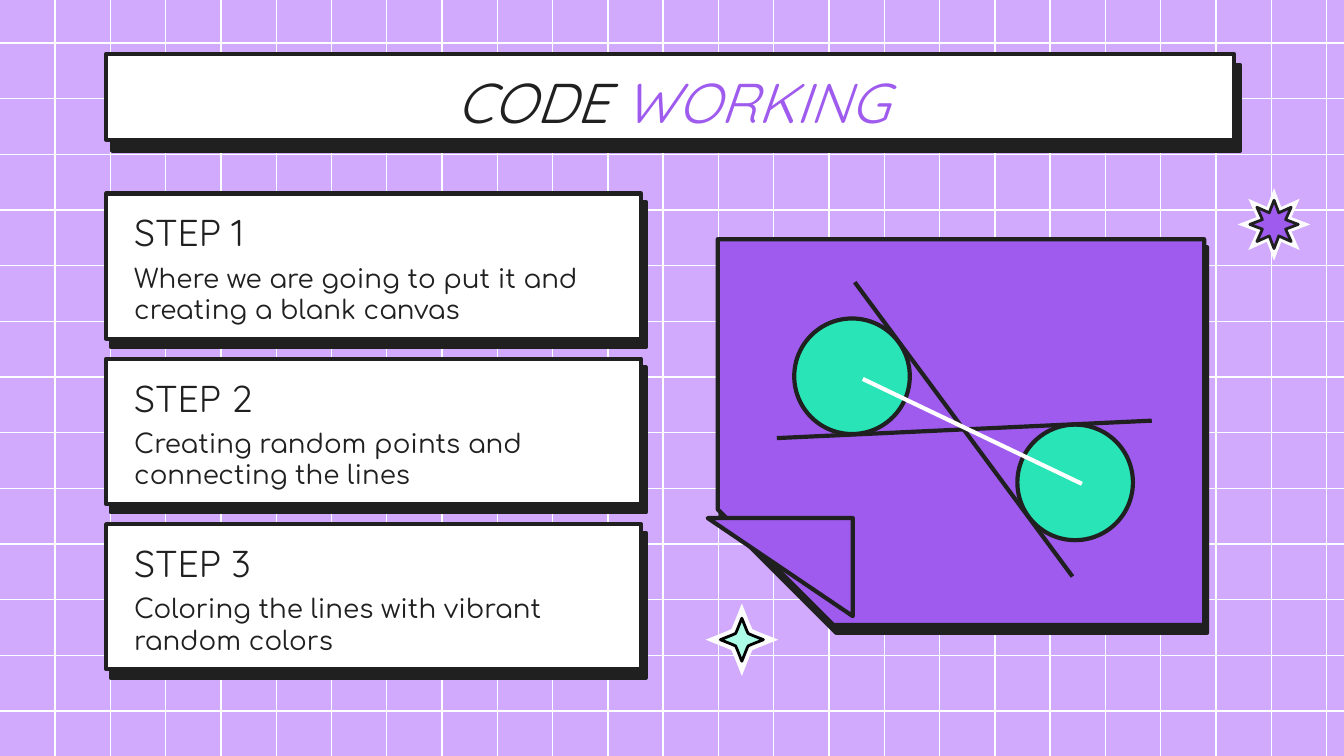
from math import cos, radians, sin

from lxml import etree
from pptx import Presentation
from pptx.dml.color import RGBColor
from pptx.enum.shapes import MSO_CONNECTOR, MSO_SHAPE as Preset
from pptx.enum.text import MSO_ANCHOR, PP_ALIGN
from pptx.oxml import parse_xml
from pptx.oxml.ns import nsdecls, qn
from pptx.util import Inches, Pt

LILAC = RGBColor(0xD1, 0xAA, 0xFD)
PURPLE = RGBColor(0x9E, 0x5B, 0xEE)
GREEN = RGBColor(0x28, 0xE4, 0xB7)
MINT = RGBColor(0xAD, 0xFE, 0xE7)
INK = RGBColor(0x20, 0x20, 0x20)
BLACK = RGBColor(0, 0, 0)
WHITE = RGBColor(0xFF, 0xFF, 0xFF)
OFF_WHITE = RGBColor(0xFC, 0xFC, 0xFC)

PAGE_WIDTH = 10
PAGE_HEIGHT = PAGE_WIDTH * 9 / 16
STEPS = [
    ("STEP 1", "Where we are going to put it and creating a blank canvas"),
    ("STEP 2", "Creating random points and connecting the lines"),
    ("STEP 3", "Coloring the lines with vibrant random colors"),
]
STEP_TOP, STEP_PITCH = 1.44, 1.23

deck = Presentation()
deck.slide_width, deck.slide_height = Inches(PAGE_WIDTH), Inches(PAGE_HEIGHT)
page = deck.slides.add_slide(deck.slide_layouts[6])
page.background.fill.solid()
page.background.fill.fore_color.rgb = LILAC


def draw_line(x1, y1, x2, y2, color, width):
    line = page.shapes.add_connector(
        MSO_CONNECTOR.STRAIGHT, Inches(x1), Inches(y1), Inches(x2), Inches(y2))
    line.line.color.rgb = color
    line.line.width = Pt(width)
    etree.SubElement(line._element.spPr, qn("a:effectLst"))


def add_text(left, top, width, height, spans, size, font):
    """Add one paragraph made of (text, color) spans and return it."""
    box = page.shapes.add_textbox(
        Inches(left), Inches(top), Inches(width), Inches(height))
    frame = box.text_frame
    frame.word_wrap = True
    frame.vertical_anchor = MSO_ANCHOR.TOP
    frame.margin_left = frame.margin_right = Inches(0.1)
    frame.margin_top = frame.margin_bottom = Inches(0.1)
    para = frame.paragraphs[0]
    para.font.size = Pt(size)
    para.font.name = font
    for text, color in spans:
        span = para.add_run()
        span.text = text
        span.font.color.rgb = color
    return para


# Background grid
for row in range(13):
    y = 0.32 + row * (5.29 - 0.32) / 12
    draw_line(0, y, PAGE_WIDTH, y, WHITE, 0.75)
for column in range(24):
    x = 0.41 + column * (9.87 - 0.41) / 23
    draw_line(x, 0, x, PAGE_HEIGHT, WHITE, 0.75)

# Cards, folded sheet and circles: preset, box, fill, rotation, shadow (pt, degrees)
shapes = [(Preset.RECTANGLE, (0.79, STEP_TOP + i * STEP_PITCH, 3.98, 1.08),
           WHITE, 0, (5.2, 61)) for i in range(len(STEPS))]
shapes += [
    (Preset.RECTANGLE, (0.79, 0.4, 8.39, 0.64), WHITE, 0, (6.8, 60)),
    (Preset.SNIP_1_RECTANGLE, (5.34, 1.78, 3.62, 2.87), PURPLE, 180, (4.5, 70)),
    (Preset.RIGHT_TRIANGLE, (5.44, 3.68, 0.73, 1.08), PURPLE, 270, None),
    (Preset.OVAL, (5.91, 2.37, 0.86, 0.86), GREEN, 0, None),
    (Preset.OVAL, (7.57, 3.16, 0.86, 0.86), GREEN, 0, None),
]
for preset, bounds, fill, rotation, shadow in shapes:
    shape = page.shapes.add_shape(preset, *map(Inches, bounds))
    shape.fill.solid()
    shape.fill.fore_color.rgb = fill
    shape.line.color.rgb = INK
    shape.line.width = Pt(2.25)
    shape.rotation = rotation
    shape.shadow.inherit = False
    if preset == Preset.SNIP_1_RECTANGLE:
        shape.adjustments[0] = 0.3
    if preset == Preset.RIGHT_TRIANGLE:
        shape._element.spPr.find(qn("a:xfrm")).set("flipH", "1")
    if shadow:
        distance, angle = shadow
        shape._element.spPr.find(qn("a:effectLst")).append(parse_xml(
            f'<a:outerShdw {nsdecls("a")} dist="{int(Pt(distance))}" '
            f'dir="{angle * 60000}" algn="bl" rotWithShape="0">'
            f'<a:srgbClr val="{INK}"/></a:outerShdw>'))

# Lines between the circles
draw_line(6.36, 2.1, 7.98, 4.29, INK, 2.25)
draw_line(5.78, 3.26, 8.57, 3.13, INK, 2.25)
draw_line(6.42, 2.82, 8.05, 3.6, WHITE, 2.25)

# Title and steps
title = add_text(0.79, 0.4, 8.43, 0.63,
                 [("CODE ", INK), ("WORKING", PURPLE)], 30, "Quicksand")
title.alignment = PP_ALIGN.CENTER
title.font.italic = True
for i, (heading, detail) in enumerate(STEPS):
    top = STEP_TOP + i * STEP_PITCH
    add_text(0.9, top + 0.02, 2.11, 0.43, [(heading, INK)], 20, "Quicksand")
    add_text(0.9, top + 0.41, 3.58, 0.63, [(detail, INK)], 14, "Comfortaa")

# Sparkles: each quarter turn repeats (share of radius, degrees)
FOUR_POINTS = [(1, 0), (0.5, 26), (0.41, 45), (0.5, 64)]
EIGHT_POINTS = [(1, 0), (0.52, 22.5), (1, 45), (0.52, 67.5)]
sparkles = [
    (5.52, 4.76, 0.27, FOUR_POINTS, OFF_WHITE, None),
    (5.52, 4.76, 0.16, FOUR_POINTS, MINT, BLACK),
    (9.48, 1.67, 0.27, EIGHT_POINTS, OFF_WHITE, None),
    (9.48, 1.67, 0.18, EIGHT_POINTS, PURPLE, INK),
]
for center_x, center_y, radius, quarter, fill, outline in sparkles:
    points = [
        (Inches(center_x + radius * share * sin(radians(turn + angle))),
         Inches(center_y - radius * share * cos(radians(turn + angle))))
        for turn in range(0, 360, 90) for share, angle in quarter
    ]
    builder = page.shapes.build_freeform(*points[0])
    builder.add_line_segments(points[1:], close=True)
    sparkle = builder.convert_to_shape()
    sparkle.shadow.inherit = False
    sparkle.fill.solid()
    sparkle.fill.fore_color.rgb = fill
    if outline is None:
        sparkle.line.fill.background()
    else:
        sparkle.line.color.rgb = outline
        sparkle.line.width = Pt(1.5)

deck.save("out.pptx")
